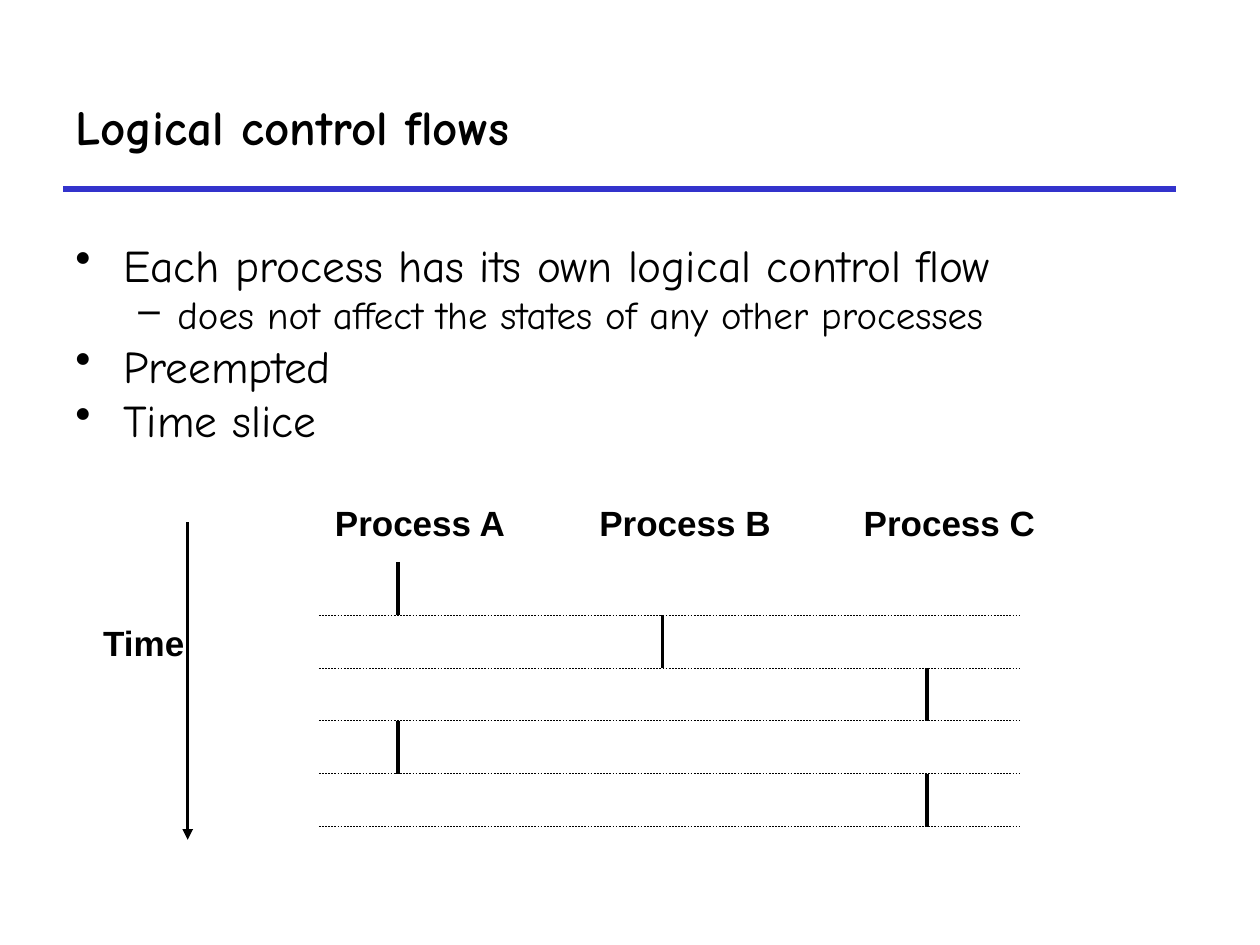
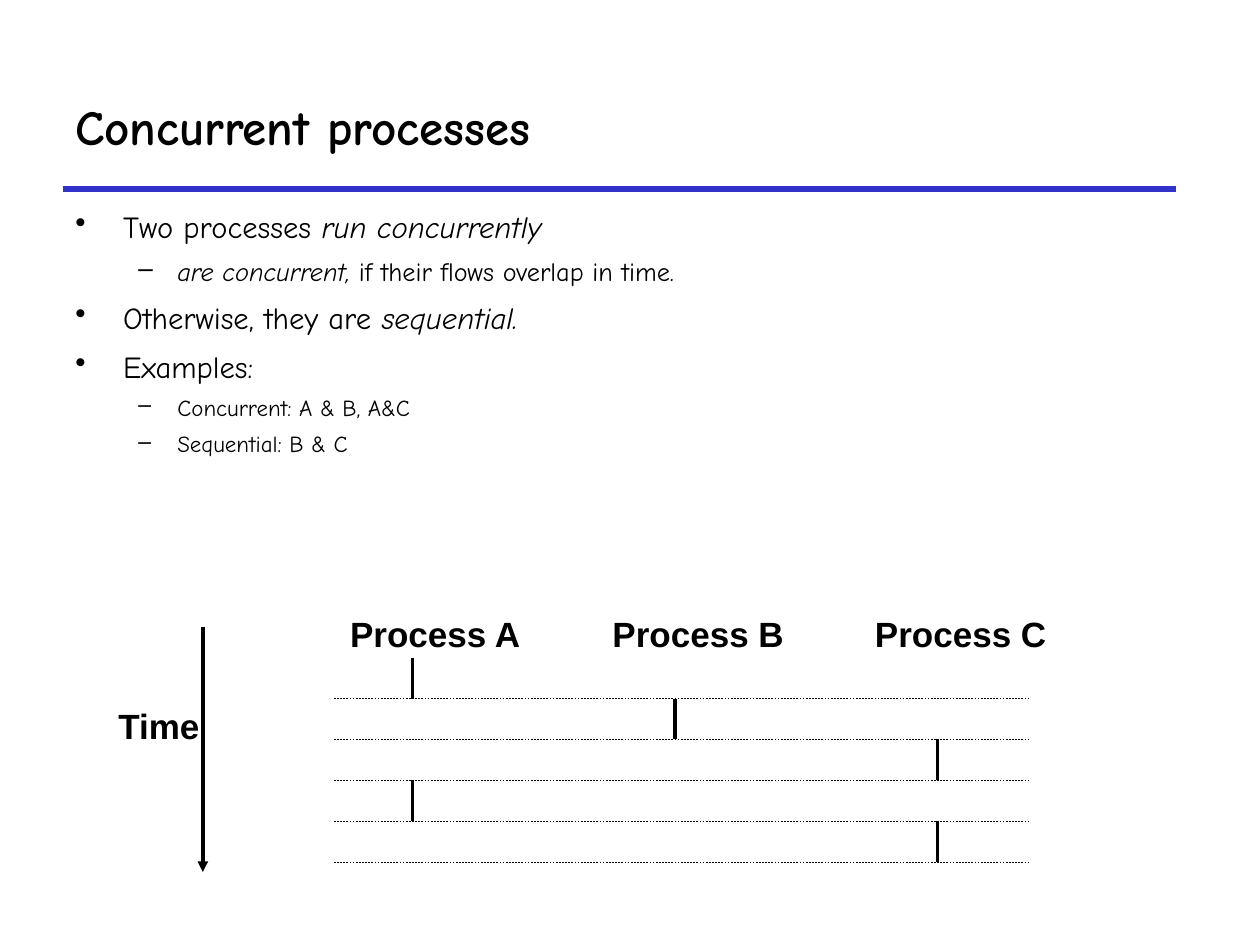
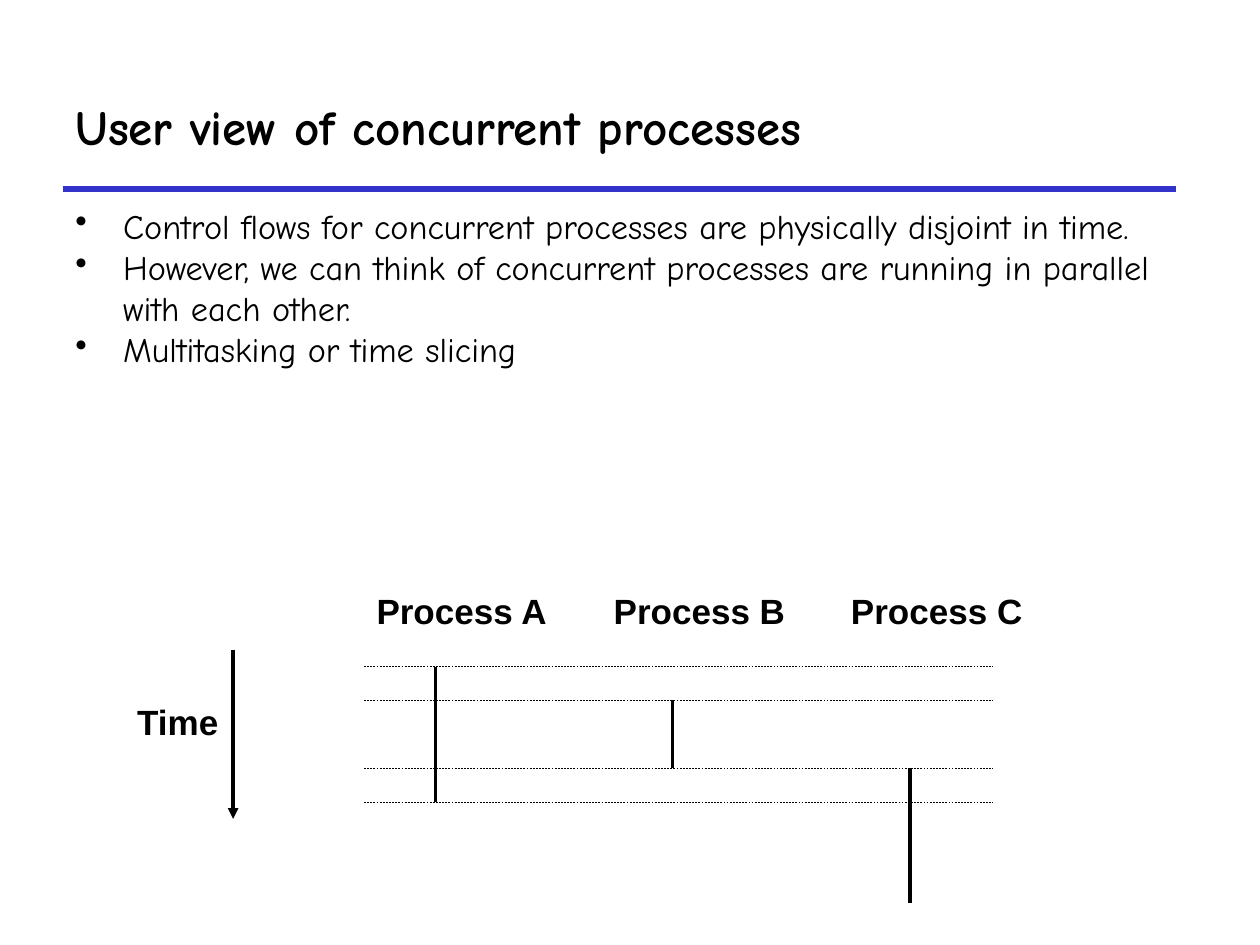
from dataclasses import dataclass

from lxml import etree
from pptx import Presentation
from pptx.dml.color import RGBColor
from pptx.enum.dml import MSO_LINE
from pptx.enum.shapes import MSO_CONNECTOR
from pptx.enum.text import MSO_ANCHOR, MSO_AUTO_SIZE
from pptx.oxml.ns import qn
from pptx.util import Inches, Pt

STRAIGHT = MSO_CONNECTOR.STRAIGHT
DASH = MSO_LINE.DASH
MIDDLE = MSO_ANCHOR.MIDDLE
FIT_SHAPE = MSO_AUTO_SIZE.SHAPE_TO_FIT_TEXT

COLORS = {"text": "000000", "rule": "3333CC"}
TEXT_FONT = "Comic Neue"
LABEL_FONT = "Arial"
TITLE_BOX = (0.5, 0.5, 8.83, 1)
PROCESSES = ("Process A", "Process B", "Process C")
BULLETS = (("•", 0.38, 0.38), ("–", 0.81, 0.31))  # character, indent, hanging
AXIS_GAP = 1.04  # from the time axis to the dashed lines


@dataclass
class Timeline:
    """Rows of equal height; flows are (process, first row line, last row line)."""
    box: tuple
    rows: int
    axis: tuple
    marks: tuple
    flows: tuple
    names_row: float = -1.25
    names_shift: float = 0.03
    time_shift: float = 1.81
    time_row: float = 1


def add_line(shapes, start, end, width, color="text", dash=None, arrow=False):
    line = shapes.add_connector(STRAIGHT, *(Inches(value) for value in start + end))
    line.line.color.rgb = RGBColor.from_string(COLORS[color])
    line.line.width = Pt(width)
    if dash:
        line.line.dash_style = dash
    if arrow:
        etree.SubElement(line.line._get_or_add_ln(), qn("a:tailEnd"), type="triangle")
    etree.SubElement(line._element.spPr, qn("a:effectLst"))


def add_text_frame(shapes, box):
    text_frame = shapes.add_textbox(*(Inches(value) for value in box)).text_frame
    text_frame.word_wrap = True
    return text_frame


def format_run(run, font, size, bold=False, italic=False):
    run.font.name = font
    run.font.size = Pt(size)
    run.font.bold = bold
    run.font.italic = italic
    run.font.color.rgb = RGBColor.from_string(COLORS["text"])


def add_title(slide, title):
    left, top, width, height = TITLE_BOX
    bottom = top + height
    add_line(slide.shapes, (left, bottom), (left + width, bottom), 3, "rule")
    text_frame = add_text_frame(slide.shapes, TITLE_BOX)
    text_frame.vertical_anchor = MIDDLE
    text_frame.text = title
    format_run(text_frame.paragraphs[0].runs[0], TEXT_FONT, 28, bold=True)


def set_bullet(paragraph, level):
    character, indent, hanging = BULLETS[level]
    properties = paragraph._p.get_or_add_pPr()
    properties.set("marL", str(Inches(indent)))
    properties.set("indent", str(-Inches(hanging)))
    etree.SubElement(properties, qn("a:buChar"), char=character)


def add_body(slide, box, items):
    """Items are (level, size, space before, plain and italic texts by turns)."""
    text_frame = add_text_frame(slide.shapes, box)
    for index, (level, size, space, *texts) in enumerate(items):
        paragraph = text_frame.add_paragraph() if index else text_frame.paragraphs[0]
        paragraph.level = level
        paragraph.space_before = Pt(space)
        set_bullet(paragraph, level)
        for position, text in enumerate(texts):
            if text:
                run = paragraph.add_run()
                run.text = text
                format_run(run, TEXT_FONT, size, italic=position % 2 == 1)


def add_label(shapes, left, top, width, text):
    text_frame = add_text_frame(shapes, (left, top, width, 0.44))
    text_frame.word_wrap = False
    text_frame.auto_size = FIT_SHAPE
    text_frame.text = text
    format_run(text_frame.paragraphs[0].runs[0], LABEL_FONT, 20, bold=True)


def add_timeline(slide, timeline):
    left, top, width, height = timeline.box
    pitch = width / 2.65
    shapes = slide.shapes.add_group_shape().shapes

    def row_y(row):
        return top + row * height / timeline.rows

    axis_x = left - AXIS_GAP
    axis_start, axis_end = timeline.axis
    add_line(shapes, (axis_x, row_y(axis_start)), (axis_x, row_y(axis_end)), 2, arrow=True)
    add_label(shapes, left - timeline.time_shift, row_y(timeline.time_row), 0.85, "Time")
    for column, name in enumerate(PROCESSES):
        name_left = left + timeline.names_shift + column * pitch
        add_label(shapes, name_left, row_y(timeline.names_row), 1.56, name)
    for column, first, last in timeline.flows:
        flow_x = left + (column + 0.3) * pitch
        add_line(shapes, (flow_x, row_y(first)), (flow_x, row_y(last)), 2)
    for mark in timeline.marks:
        add_line(shapes, (left, row_y(mark)), (left + width, row_y(mark)), 0.25, dash=DASH)


def switching_timeline(box):
    """One process runs in each row, in the order A, B, C, A, C."""
    flows = tuple((column, row, row + 1) for row, column in enumerate((0, 1, 2, 0, 2)))
    return Timeline(box, 5, (-0.75, 5.25), (1, 2, 3, 4, 5), flows)


def overlapping_timeline(box):
    flows = ((0, 0, 2), (1, 1, 3), (2, 3, 5), (0, 2, 4), (2, 5, 7))
    return Timeline(box, 7, (-0.5, 4.5), (0, 1, 3, 4), flows,
                    names_row=-2.46, names_shift=0, time_shift=1.9, time_row=0.82)


SLIDES = (
    ("Logical control flows", (0.5, 1.83, 9, 1.83), (
        (0, 25.9, 0, "Each process has its own logical control flow"),
        (1, 22.2, 0, "does not affect the states of any other processes"),
        (0, 25.9, 0, "Preempted"),
        (0, 25.9, 0, "Time slice"),
    ), switching_timeline((2.53, 4.46, 5.56, 2.1))),
    ("Concurrent processes", (0.5, 1.6, 9.67, 2.06), (
        (0, 17.5, 7, "Two processes ", "run concurrently"),
        (1, 15, 6, "", "are concurrent, ", "if their flows overlap in time."),
        (0, 17.5, 7, "Otherwise, they are ", "sequential."),
        (0, 17.5, 7, "Examples:"),
        (1, 13.1, 5.2, "Concurrent: A & B, A&C"),
        (1, 13.1, 5.2, "Sequential: B & C"),
    ), switching_timeline((2.65, 5.22, 5.52, 1.62))),
    ("User view of concurrent processes", (0.5, 1.58, 9, 1.62), (
        (0, 19.6, 0, "Control flows for concurrent processes are physically disjoint in time."),
        (0, 19.6, 0, "However, we can think of concurrent processes are running in parallel "
                     "with each other."),
        (0, 19.6, 0, "Multitasking or time slicing"),
    ), overlapping_timeline((2.89, 5.29, 4.99, 1.88))),
)


def main():
    presentation = Presentation()
    presentation.slide_width = Inches(10)
    presentation.slide_height = Inches(7.5)
    for title, body_box, items, timeline in SLIDES:
        slide = presentation.slides.add_slide(presentation.slide_layouts[6])
        add_title(slide, title)
        add_body(slide, body_box, items)
        add_timeline(slide, timeline)
    presentation.save("out.pptx")


if __name__ == "__main__":
    main()
